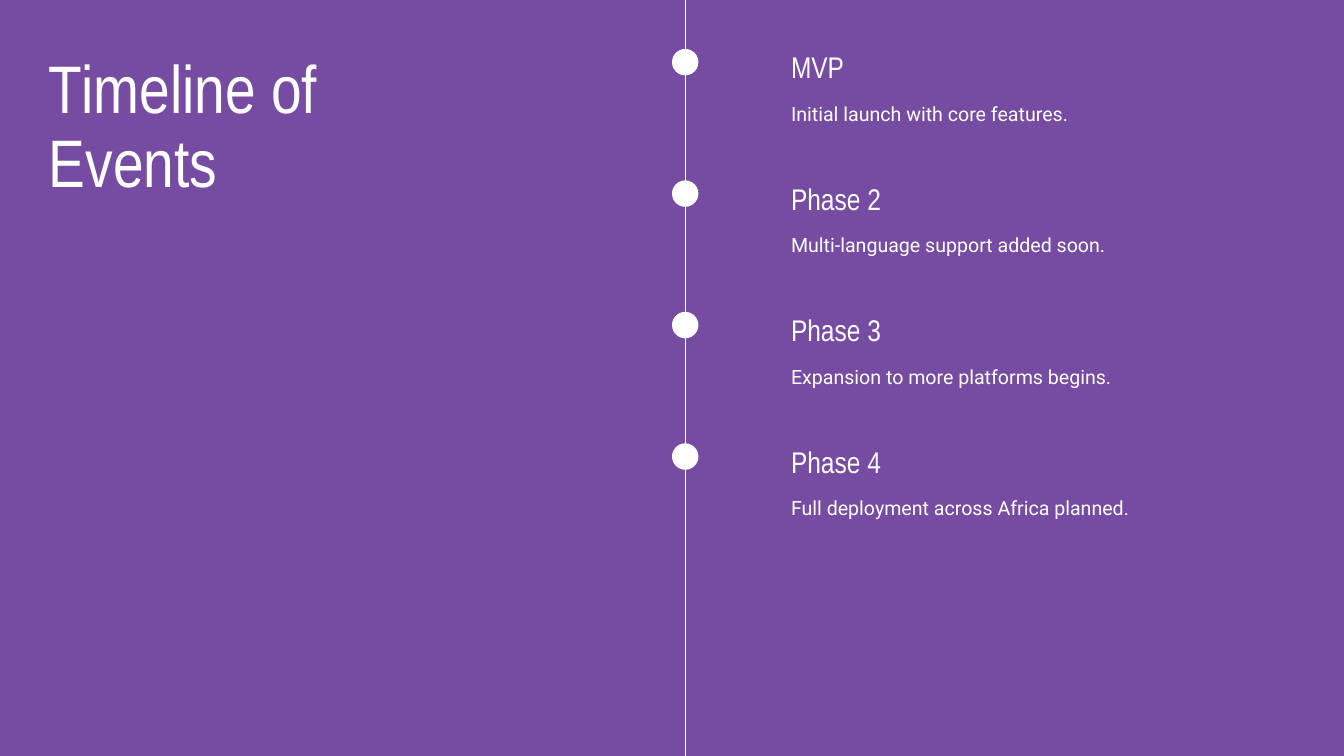
from dataclasses import dataclass

from lxml.etree import SubElement
from pptx import Presentation
from pptx.dml.color import RGBColor
from pptx.enum.shapes import MSO_CONNECTOR, MSO_SHAPE
from pptx.enum.text import MSO_ANCHOR, MSO_AUTO_SIZE, PP_ALIGN
from pptx.oxml.ns import qn
from pptx.util import Cm, Pt


@dataclass(frozen=True)
class Theme:
    background: RGBColor = RGBColor(0x76, 0x4B, 0xA2)
    foreground: RGBColor = RGBColor(0xFF, 0xFF, 0xFF)
    heading_font: str = "Arial Narrow"
    body_font: str = "Roboto"
    title_size: float = 72
    heading_size: float = 32
    detail_size: float = 21
    rule_width: float = 1.5


THEME = Theme()
SLIDE_WIDTH, SLIDE_HEIGHT = Cm(50.8), Cm(28.58)

MARKER_SIZE = Cm(1)
MARKER_LEFT = Cm(25.4)
AXIS_X = MARKER_LEFT + MARKER_SIZE // 2
FIRST_TOP = Cm(1.85)
PHASE_PITCH = Cm(4.97)

PHASE_LEFT, PHASE_WIDTH = Cm(29.9), Cm(15.04)
HEADING_HEIGHT = Cm(1.35)
DETAIL_OFFSET, DETAIL_HEIGHT = Cm(1.84), Cm(0.99)

PHASES = [
    ("MVP", "Initial launch with core features."),
    ("Phase 2", "Multi-language support added soon."),
    ("Phase 3", "Expansion to more platforms begins."),
    ("Phase 4", "Full deployment across Africa planned."),
]


def write_text(frame, text, *, size, font=THEME.heading_font, leading=1.2):
    """Fill a frame without margins; leading is a multiple of the type size."""
    frame.word_wrap = True
    frame.auto_size = MSO_AUTO_SIZE.NONE
    frame.vertical_anchor = MSO_ANCHOR.TOP
    frame.margin_left = frame.margin_right = 0
    frame.margin_top = frame.margin_bottom = 0
    paragraph = frame.paragraphs[0]
    paragraph.alignment = PP_ALIGN.LEFT
    paragraph.line_spacing = Pt(size * leading)
    run = paragraph.add_run()
    run.text = text
    run.font.name = font
    run.font.size = Pt(size)
    run.font.color.rgb = THEME.foreground


def set_title(slide, text):
    title = slide.shapes.title
    title.left, title.top = Cm(1.85), Cm(2.01)
    title.width, title.height = Cm(15.98), Cm(5.66)
    write_text(title.text_frame, text, size=THEME.title_size, leading=1.1)


def add_marker(slide, top):
    marker = slide.shapes.add_shape(
        MSO_SHAPE.OVAL, MARKER_LEFT, top, MARKER_SIZE, MARKER_SIZE
    )
    marker.shadow.inherit = False
    marker.fill.solid()
    marker.fill.fore_color.rgb = THEME.foreground
    marker.line.fill.background()


def add_phase(slide, top, name, detail):
    heading = slide.shapes.add_textbox(PHASE_LEFT, top, PHASE_WIDTH, HEADING_HEIGHT)
    write_text(heading.text_frame, name, size=THEME.heading_size)
    description = slide.shapes.add_textbox(
        PHASE_LEFT, top + DETAIL_OFFSET, PHASE_WIDTH, DETAIL_HEIGHT
    )
    write_text(
        description.text_frame,
        detail,
        size=THEME.detail_size,
        font=THEME.body_font,
        leading=1.4,
    )


def add_axis(slide):
    axis = slide.shapes.add_connector(
        MSO_CONNECTOR.STRAIGHT, AXIS_X, SLIDE_HEIGHT, AXIS_X, 0
    )
    axis.line.color.rgb = THEME.foreground
    axis.line.width = Pt(THEME.rule_width)
    SubElement(axis._element.spPr, qn("a:effectLst"))


def main():
    presentation = Presentation()
    presentation.slide_width = SLIDE_WIDTH
    presentation.slide_height = SLIDE_HEIGHT
    slide = presentation.slides.add_slide(presentation.slide_layouts[5])
    slide.background.fill.solid()
    slide.background.fill.fore_color.rgb = THEME.background

    set_title(slide, "Timeline of Events")
    for index, (name, detail) in enumerate(PHASES):
        top = FIRST_TOP + index * PHASE_PITCH
        add_marker(slide, top)
        add_phase(slide, top, name, detail)
    add_axis(slide)

    presentation.save("out.pptx")


if __name__ == "__main__":
    main()
